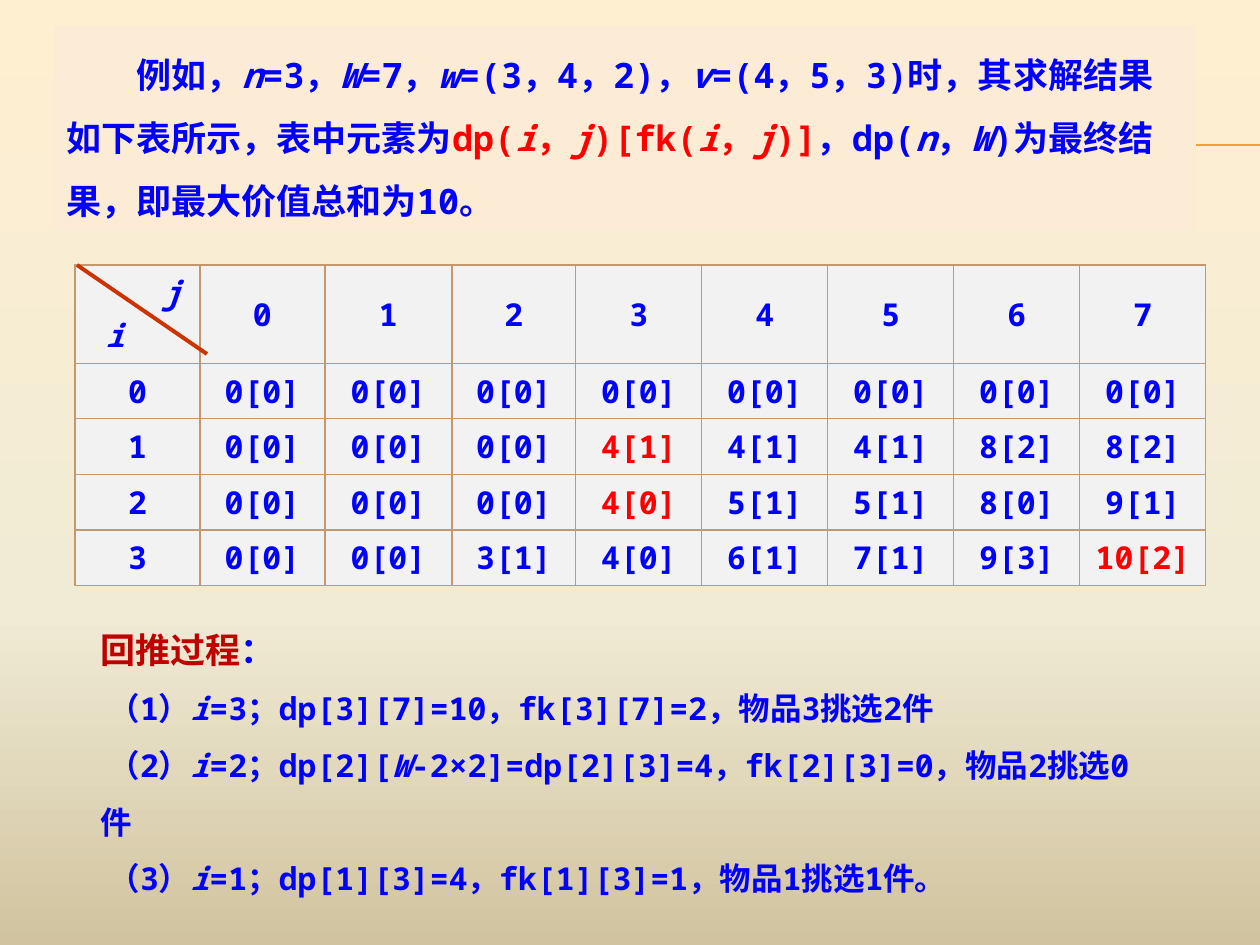
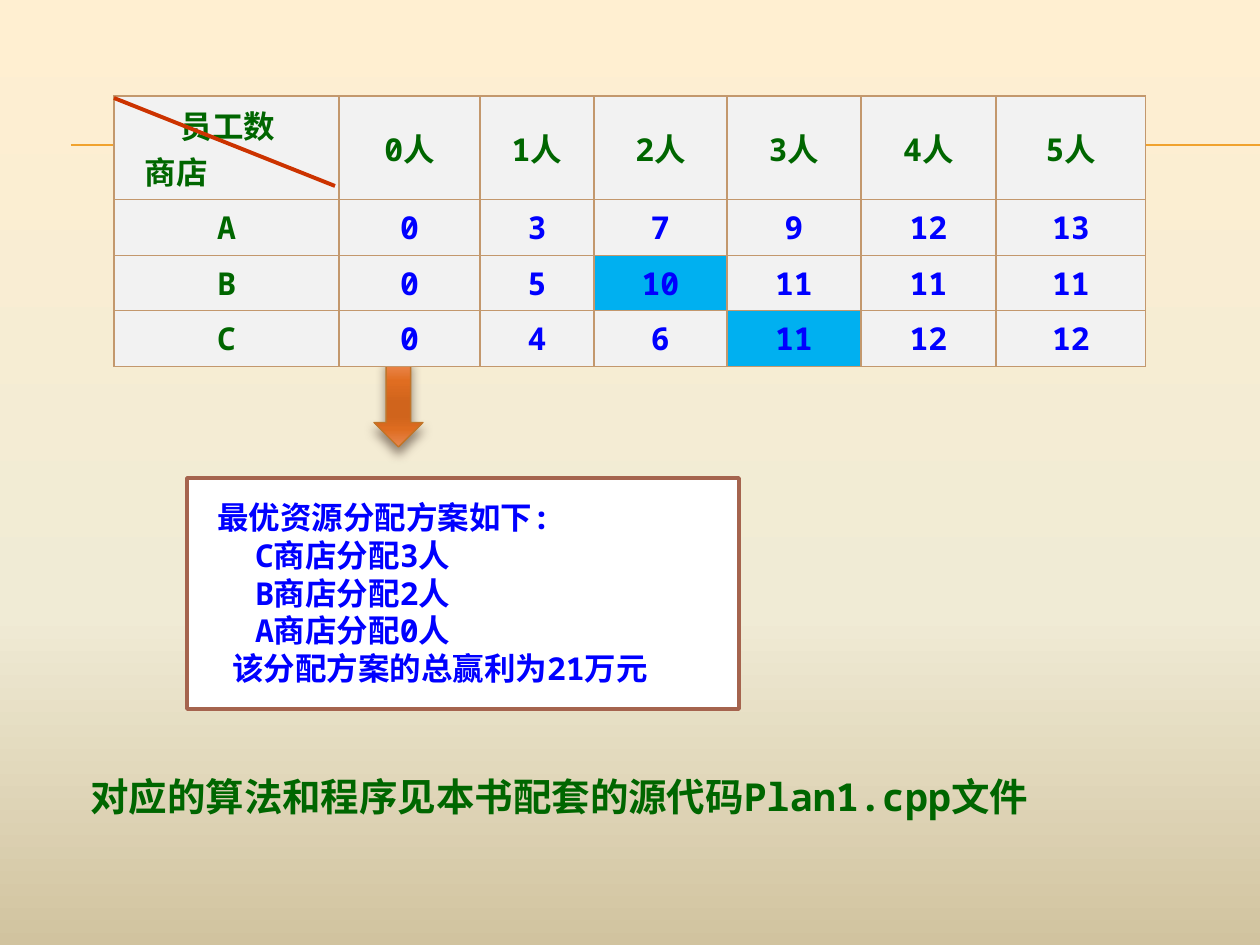
from dataclasses import dataclass, field
from typing import NamedTuple

from lxml.etree import SubElement
from pptx import Presentation
from pptx.dml.color import RGBColor
from pptx.enum.shapes import MSO_CONNECTOR, MSO_SHAPE
from pptx.enum.text import MSO_ANCHOR, MSO_AUTO_SIZE, PP_ALIGN
from pptx.oxml.ns import qn
from pptx.util import Emu, Pt

EMU_PER_PX = 914400 / 126


@dataclass(frozen=True)
class Theme:
    font: str = "Noto Sans Mono"
    blue: str = "0000FF"
    red: str = "FF0000"
    dark_red: str = "C00000"
    green: str = "006600"
    rule: str = "F0A22E"
    diagonal: str = "CC3300"
    border: str = "C3986D"
    cell: str = "F2F2F2"
    highlight: str = "00B0F0"
    intro_fill: str = "FCECD5"
    plan_fill: str = "FFFFFF"
    plan_line: str = "A5644E"
    arrow_line: str = "C17529"
    shadow: str = "4E3B30"
    background: tuple = ((0, "FFEFD1"), (65, "F0EBD5"), (100, "D1C39F"))
    arrow: tuple = ((0, "EE8F5B"), (25, "E06D21"), (50, "D0641C"),
                    (65, "D0641C"), (80, "DE6C20"), (100, "E88852"))
    body: int = 18
    lead: int = 20
    caption: int = 22
    hairline: float = 0.79


THEME = Theme()


class Box(NamedTuple):
    left: int
    top: int
    width: int
    height: int


class Span(NamedTuple):
    text: str
    color: str = THEME.blue


@dataclass(frozen=True)
class Line:
    spans: tuple[Span, ...]
    size: int = THEME.body
    indent: int = 0
    spacing: float = 1.0
    align: PP_ALIGN = PP_ALIGN.LEFT


@dataclass(frozen=True)
class Grid:
    left: int
    top: int
    columns: tuple[int, ...]
    corner: tuple[Line, Line]
    headers: str
    rows: tuple[str, ...]
    label_color: str
    diagonal: tuple[int, int, int, int]
    red_cells: set = field(default_factory=set)
    filled_cells: set = field(default_factory=set)


HEADER_HEIGHT = 88
ROW_HEIGHT = 50

DP_GRID = Grid(
    left=75, top=265,
    columns=(125, 125, 127, 124, 126, 126, 126, 126, 126),
    corner=(Line((Span("*j*"),), indent=75), Line((Span("*i*"),), indent=18)),
    headers="0 1 2 3 4 5 6 7",
    rows=("0 0[0] 0[0] 0[0] 0[0] 0[0] 0[0] 0[0] 0[0]",
          "1 0[0] 0[0] 0[0] 4[1] 4[1] 4[1] 8[2] 8[2]",
          "2 0[0] 0[0] 0[0] 4[0] 5[1] 5[1] 8[0] 9[1]",
          "3 0[0] 0[0] 3[1] 4[0] 6[1] 7[1] 9[3] 10[2]"),
    label_color=THEME.blue,
    diagonal=(77, 265, 207, 354),
    red_cells={(2, 4), (3, 4), (4, 8)},
)

PROFIT_GRID = Grid(
    left=114, top=96,
    columns=(225, 141, 114, 133, 134, 135, 150),
    corner=(Line((Span("员工数", THEME.green),), indent=54),
            Line((Span("商店", THEME.green),), indent=18)),
    headers="0人 1人 2人 3人 4人 5人",
    rows=("A 0 3 7 9 12 13", "B 0 5 10 11 11 11", "C 0 4 6 11 12 12"),
    label_color=THEME.green,
    diagonal=(114, 98, 335, 186),
    filled_cells={(2, 3), (3, 4)},
)

INTRO = Line((
    Span("例如，*n*=3，*W*=7，*w*=(3，4，2)，*v*=(4，5，3)时，其求解结果如下表所示，表中元素为"),
    Span("dp(*i*，*j*)[fk(*i*，*j*)]", THEME.red),
    Span("，dp(*n*，*W*)为最终结果，即最大价值总和为10。"),
), size=THEME.lead, indent=70, spacing=1.5)

STEPS = (
    "（1）*i*=3；dp[3][7]=10，fk[3][7]=2，物品3挑选2件",
    "（2）*i*=2；dp[2][*W*-2×2]=dp[2][3]=4，fk[2][3]=0，物品2挑选0件",
    "（3）*i*=1；dp[1][3]=4，fk[1][3]=1，物品1挑选1件。",
)
BACKTRACKING = (
    Line((Span("回推过程", THEME.dark_red), Span("：")), size=THEME.lead, spacing=1.5),
    *(Line((Span(step),), indent=8, spacing=1.5) for step in STEPS),
)

PLAN = (
    Line((Span("最优资源分配方案如下:"),)),
    *(Line((Span(f"{shop}商店分配{staff}人"),), indent=38)
      for shop, staff in (("C", 3), ("B", 2), ("A", 0))),
    Line((Span("该分配方案的总赢利为21万元"),), indent=15),
)

CAPTION = Line((Span("对应的算法和程序见本书配套的源代码Plan1.cpp文件", THEME.green),),
               size=THEME.caption)


def px(length: int) -> Emu:
    return Emu(round(length * EMU_PER_PX))


def place(box: Box) -> tuple[Emu, ...]:
    return tuple(px(length) for length in box)


def rgb(color: str) -> RGBColor:
    return RGBColor.from_string(color)


def paint(fill, color: str) -> None:
    fill.solid()
    fill.fore_color.rgb = rgb(color)


def paint_gradient(fill, owner, stops: tuple) -> None:
    fill.gradient()
    fill.gradient_angle = 270
    stop_list = owner.find(".//" + qn("a:gsLst"))
    stop_list.clear()
    for percent, color in stops:
        stop = SubElement(stop_list, qn("a:gs"), pos=str(percent * 1000))
        SubElement(stop, qn("a:srgbClr"), val=color)


def write_line(paragraph, line: Line) -> None:
    paragraph.alignment = line.align
    paragraph.line_spacing = line.spacing
    paragraph.space_before = Pt(0)
    properties = paragraph._p.get_or_add_pPr()
    properties.set("marL", "0")
    properties.set("indent", str(px(line.indent)))
    SubElement(properties, qn("a:buNone"))
    for span in line.spans:
        for position, piece in enumerate(span.text.split("*")):
            if piece:
                run = paragraph.add_run()
                run.text = piece
                run.font.italic = position % 2 == 1
                run.font.color.rgb = rgb(span.color)
    for font in (paragraph.font, *(run.font for run in paragraph.runs)):
        font.name = THEME.font
        font.size = Pt(line.size)
        font.bold = True


def write_lines(text_frame, lines: tuple[Line, ...]) -> None:
    for number, line in enumerate(lines):
        paragraph = text_frame.add_paragraph() if number else text_frame.paragraphs[0]
        write_line(paragraph, line)


def fill_frame(shape, lines: tuple[Line, ...]) -> None:
    text_frame = shape.text_frame
    text_frame.word_wrap = True
    text_frame.auto_size = MSO_AUTO_SIZE.NONE
    text_frame.vertical_anchor = MSO_ANCHOR.TOP
    write_lines(text_frame, lines)


def draw_line(slide, ends: tuple[int, int, int, int], color: str, width: float) -> None:
    connector = slide.shapes.add_connector(MSO_CONNECTOR.STRAIGHT, *(px(end) for end in ends))
    connector.line.color.rgb = rgb(color)
    connector.line.width = Pt(width)
    SubElement(connector.element.spPr, qn("a:effectLst"))


def add_text_box(slide, box: Box, line: Line):
    shape = slide.shapes.add_textbox(*place(box))
    fill_frame(shape, (line,))
    return shape


def fill_body(slide, box: Box, lines: tuple[Line, ...]):
    body = slide.placeholders[1]
    body.left, body.top, body.width, body.height = place(box)
    fill_frame(body, lines)
    return body


def style_cell(cell, color: str) -> None:
    properties = cell._tc.get_or_add_tcPr()
    for side in ("a:lnL", "a:lnR", "a:lnT", "a:lnB"):
        border = SubElement(properties, qn(side), w=str(Pt(THEME.hairline)))
        SubElement(SubElement(border, qn("a:solidFill")), qn("a:srgbClr"), val=THEME.border)
    paint(cell.fill, color)


def draw_grid(slide, grid: Grid) -> None:
    texts = [["", *grid.headers.split()], *(row.split() for row in grid.rows)]
    heights = [HEADER_HEIGHT] + [ROW_HEIGHT] * len(grid.rows)
    box = Box(grid.left, grid.top, sum(grid.columns), sum(heights))
    table = slide.shapes.add_table(len(heights), len(grid.columns), *place(box)).table
    table.first_row = table.horz_banding = False
    for column, width in zip(table.columns, grid.columns):
        column.width = px(width)
    for row, height in zip(table.rows, heights):
        row.height = px(height)
    for row, row_texts in enumerate(texts):
        for column, text in enumerate(row_texts):
            cell, key = table.cell(row, column), (row, column)
            style_cell(cell, THEME.highlight if key in grid.filled_cells else THEME.cell)
            if key == (0, 0):
                write_lines(cell.text_frame, grid.corner)
                continue
            label = row == 0 or column == 0
            color = grid.label_color if label else THEME.blue
            if key in grid.red_cells:
                color = THEME.red
            write_lines(cell.text_frame, (Line((Span(text, color),), align=PP_ALIGN.CENTER),))
            if row == 0:
                cell.vertical_anchor = MSO_ANCHOR.MIDDLE
    draw_line(slide, grid.diagonal, THEME.diagonal, 2.25)


def draw_arrow(slide, box: Box) -> None:
    arrow = slide.shapes.add_shape(MSO_SHAPE.DOWN_ARROW, *place(box))
    paint_gradient(arrow.fill, arrow.element, THEME.arrow)
    arrow.line.color.rgb = rgb(THEME.arrow_line)
    arrow.line.width = Pt(THEME.hairline)
    effects = SubElement(arrow.element.spPr, qn("a:effectLst"))
    shadow = SubElement(effects, qn("a:outerShdw"), blurRad=str(Pt(6)), dist=str(Pt(4)),
                        dir="5400000", rotWithShape="0")
    color = SubElement(shadow, qn("a:srgbClr"), val=THEME.shadow)
    SubElement(color, qn("a:alpha"), val="60000")


def add_slide(presentation):
    slide = presentation.slides.add_slide(presentation.slide_layouts[1])
    title = slide.shapes.title.element
    title.getparent().remove(title)
    draw_line(slide, (71, 145, 1260, 145), THEME.rule, 1.25)
    return slide


def build_knapsack_slide(presentation) -> None:
    slide = add_slide(presentation)
    intro = add_text_box(slide, Box(54, 26, 1142, 204), INTRO)
    paint(intro.fill, THEME.intro_fill)
    draw_grid(slide, DP_GRID)
    fill_body(slide, Box(88, 601, 1063, 306), BACKTRACKING)


def build_allocation_slide(presentation) -> None:
    slide = add_slide(presentation)
    plan = fill_body(slide, Box(187, 478, 552, 231), PLAN)
    paint(plan.fill, THEME.plan_fill)
    plan.line.color.rgb = rgb(THEME.plan_line)
    plan.line.width = Pt(2)
    plan.text_frame.margin_left = px(30)
    plan.text_frame.margin_top = plan.text_frame.margin_bottom = px(20)
    draw_arrow(slide, Box(374, 359, 49, 88))
    draw_grid(slide, PROFIT_GRID)
    add_text_box(slide, Box(78, 767, 1024, 59), CAPTION)


def main() -> None:
    presentation = Presentation()
    presentation.slide_width, presentation.slide_height = px(1260), px(945)
    master = presentation.slide_master
    paint_gradient(master.background.fill, master.element, THEME.background)
    build_knapsack_slide(presentation)
    build_allocation_slide(presentation)
    presentation.save("out.pptx")


if __name__ == "__main__":
    main()
